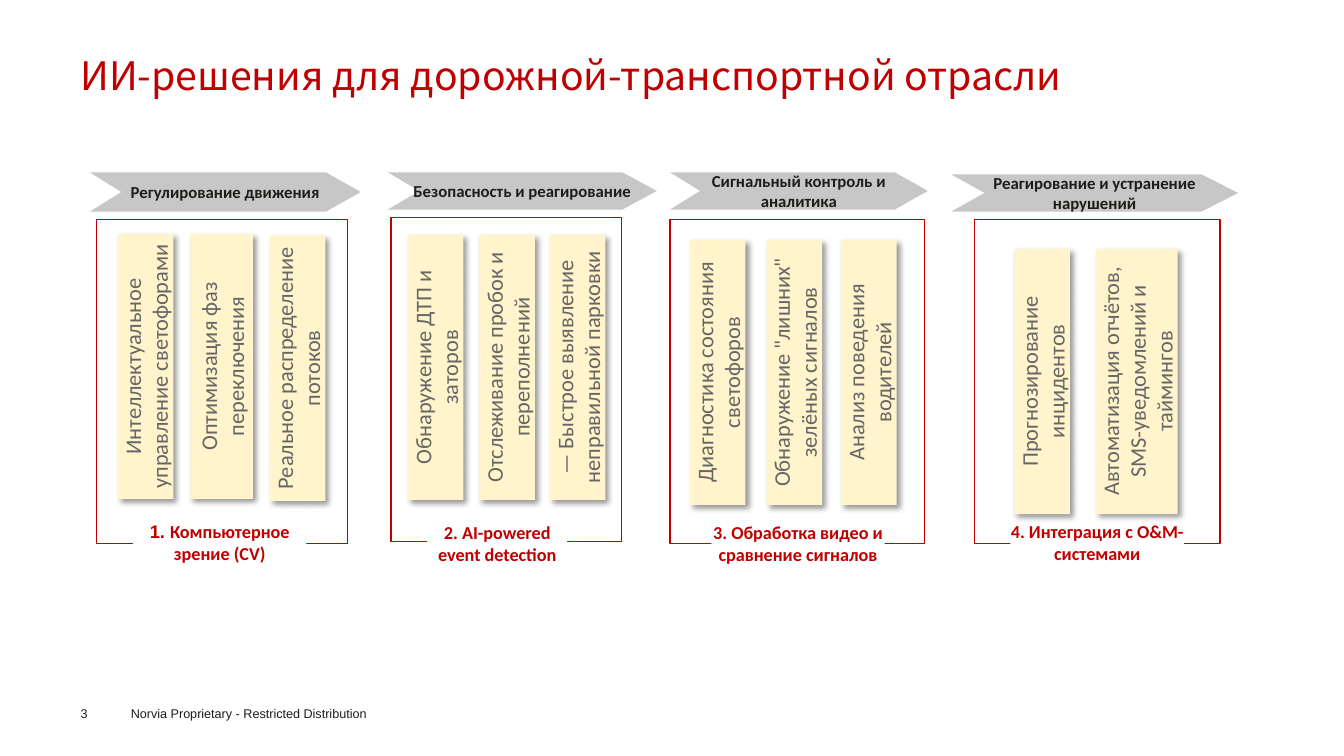
from dataclasses import dataclass
from typing import NamedTuple

from lxml import etree
from pptx import Presentation
from pptx import util as u
from pptx.dml.color import RGBColor
from pptx.enum import shapes, text
from pptx.oxml import ns


# Theme: colours, fonts and type sizes
@dataclass(frozen=True)
class Theme:
    red: str = "C00000"
    grey: str = "C7C7C7"
    cream: str = "FFF4CB"
    white: str = "FFFFFF"
    ink: str = "1D1D1A"
    slate: str = "666666"
    head: str = "Noto Sans CJK SC"
    body: str = "Calibri"
    foot: str = "Arial"
    title_pt: float = 28
    card_pt: float = 16
    tag_pt: float = 13
    step_pt: float = 12
    foot_pt: float = 9


class Box(NamedTuple):
    x: float
    y: float
    w: float
    h: float

    def emu(self) -> list:
        return [u.Inches(v) for v in self]


class Run(NamedTuple):
    words: str
    size: float
    color: str
    font: str
    bold: bool = False


class Card(NamedTuple):
    words: str
    x: float
    y: float
    w: float = 0.55


class Stage(NamedTuple):
    step: str
    arrow: Box
    frame: Box
    cards: list
    tag: Box
    runs: list


T = Theme()
CARD_H, FRAME_H, TAG_H = 2.63, 3.21, 0.41
NOTCH, TIP = 0.117, 0.128  # shares of the arrow width


def tag_run(words: str, font: str = T.body) -> Run:
    return Run(words, T.tag_pt, T.red, font, True)


# Content
STAGES = [
    Stage("Регулирование движения",
          Box(0.89, 1.71, 2.69, 0.39), Box(0.96, 2.18, 2.49, FRAME_H),
          [Card("Интеллектуальное управление светофорами", 1.17, 2.32),
           Card("Оптимизация фаз переключения", 1.89, 2.32, 0.62),
           Card("Реальное распределение потоков", 2.68, 2.34)],
          Box(1.32, 5.19, 1.72, TAG_H),
          [tag_run("1. ", T.foot), tag_run("Компьютерное зрение (CV)")]),
    Stage("Безопасность и реагирование",
          Box(3.85, 1.71, 2.67, 0.37), Box(3.88, 2.16, 2.29, FRAME_H),
          [Card("Обнаружение ДТП и заторов", 4.05, 2.33),
           Card("Отслеживание пробок и переполнений", 4.76, 2.33),
           Card("— Быстрое выявление неправильной парковки", 5.46, 2.33)],
          Box(4.24, 5.2, 1.39, TAG_H),
          [tag_run("2. AI-powered event detection")]),
    Stage("Сигнальный контроль и аналитика",
          Box(6.65, 1.71, 2.56, 0.37), Box(6.65, 2.18, 2.53, FRAME_H),
          [Card("Диагностика состояния светофоров", 6.85, 2.38),
           Card('Обнаружение "лишних" зелёных сигналов', 7.61, 2.38),
           Card("Анализ поведения водителей", 8.35, 2.38)],
          Box(7.06, 5.2, 1.72, TAG_H),
          [tag_run("3. Обработка видео и сравнение сигналов")]),
    Stage("Реагирование и устранение нарушений",
          Box(9.44, 1.73, 2.85, 0.37), Box(9.67, 2.18, 2.44, FRAME_H),
          [Card("Прогнозирование инцидентов", 10.07, 2.47),
           Card("Автоматизация отчётов, SMS-уведомлений и таймингов",
                10.88, 2.47, 0.81)],
          Box(10.03, 5.19, 1.72, TAG_H),
          [tag_run("4. Интеграция с O&M-системами")]),
]


# Drawing helpers
def write(shape, runs: list, pad: tuple = (0, 0, 0, 0), center: bool = True,
          mid: bool = True) -> None:
    frame = shape.text_frame
    frame.word_wrap = True
    frame.auto_size = text.MSO_AUTO_SIZE.NONE
    frame.margin_left, frame.margin_top, frame.margin_right, frame.margin_bottom = (
        u.Inches(v) for v in pad)
    frame.vertical_anchor = text.MSO_ANCHOR.MIDDLE if mid else text.MSO_ANCHOR.TOP
    para = frame.paragraphs[0]
    para.alignment = text.PP_ALIGN.CENTER if center else text.PP_ALIGN.LEFT
    for item in runs:
        run = para.add_run()
        run.text = item.words
        run.font.size = u.Pt(item.size)
        run.font.name = item.font
        run.font.bold = item.bold
        run.font.color.rgb = RGBColor.from_string(item.color)


def paint(shape, fill: str = "", line: str = "") -> None:
    shape.shadow.inherit = False
    if fill:
        shape.fill.solid()
        shape.fill.fore_color.rgb = RGBColor.from_string(fill)
    else:
        shape.fill.background()
    if line:
        shape.line.color.rgb = RGBColor.from_string(line)
        shape.line.width = u.Pt(1)
    else:
        shape.line.fill.background()


def add_rect(slide, box: Box, fill: str = "", line: str = ""):
    rect = slide.shapes.add_shape(shapes.MSO_SHAPE.RECTANGLE, *box.emu())
    paint(rect, fill, line)
    return rect


def add_glow(shape) -> None:
    effects = shape._element.spPr.find(ns.qn("a:effectLst"))
    outer = etree.SubElement(effects, ns.qn("a:outerShdw"), blurRad=str(u.Pt(4)),
                             dist=str(u.Pt(3)), dir="2700000", algn="tl",
                             rotWithShape="0")
    color = etree.SubElement(outer, ns.qn("a:srgbClr"), val="000000")
    etree.SubElement(color, ns.qn("a:alpha"), val="40000")


def add_card(slide, card: Card) -> None:
    rect = add_rect(slide, Box(card.x, card.y, card.w, CARD_H), T.cream)
    add_glow(rect)
    write(rect, [Run(card.words, T.card_pt, T.slate, T.body)])
    rect.text_frame._txBody.bodyPr.set("vert", "vert270")


def add_arrow(slide, box: Box, words: str) -> None:
    x, y, w, h = box.emu()
    neck, mid = x + w * (1 - TIP), y + h / 2
    path = slide.shapes.build_freeform(int(x + w * NOTCH), int(mid))
    path.add_line_segments([(int(a), int(b)) for a, b in (
        (x, y), (neck, y), (x + w, mid), (neck, y + h), (x, y + h))], close=True)
    arrow = path.convert_to_shape()
    paint(arrow, T.grey)
    write(arrow, [Run(words, T.step_pt, T.ink, T.body, True)], (0.1, 0.05, 0.1, 0.05))


def add_stage(slide, stage: Stage) -> None:
    for card in stage.cards:
        add_card(slide, card)
    add_arrow(slide, stage.arrow, stage.step)
    add_rect(slide, stage.frame, line=T.red)
    write(add_rect(slide, stage.tag, T.white), stage.runs, (0, 0.04, 0, 0.08))


def add_note(slide, box: Box, words: str, pad: tuple) -> None:
    note = slide.shapes.add_textbox(*box.emu())
    write(note, [Run(words, T.foot_pt, T.ink, T.foot)], pad, False, False)


def main() -> None:
    deck = Presentation()
    deck.slide_width, deck.slide_height = u.Inches(13.34), u.Inches(7.5)
    slide = deck.slides.add_slide(deck.slide_layouts[5])

    # Title
    title = slide.shapes.title
    title.left, title.top, title.width, title.height = Box(0.8, 0.5, 11.75, 0.48).emu()
    write(title, [Run("ИИ-решения для дорожной-транспортной отрасли",
                      T.title_pt, T.red, T.head)], center=False)

    # Stages
    for stage in STAGES:
        add_stage(slide, stage)

    # Footer
    add_note(slide, Box(0.8, 7, 0.55, 0.15), "3", (0, 0, 0, 0))
    add_note(slide, Box(1.2, 6.95, 3.83, 0.25),
             "Norvia Proprietary - Restricted Distribution", (0.1, 0.05, 0.1, 0.05))
    deck.save("out.pptx")


if __name__ == "__main__":
    main()
